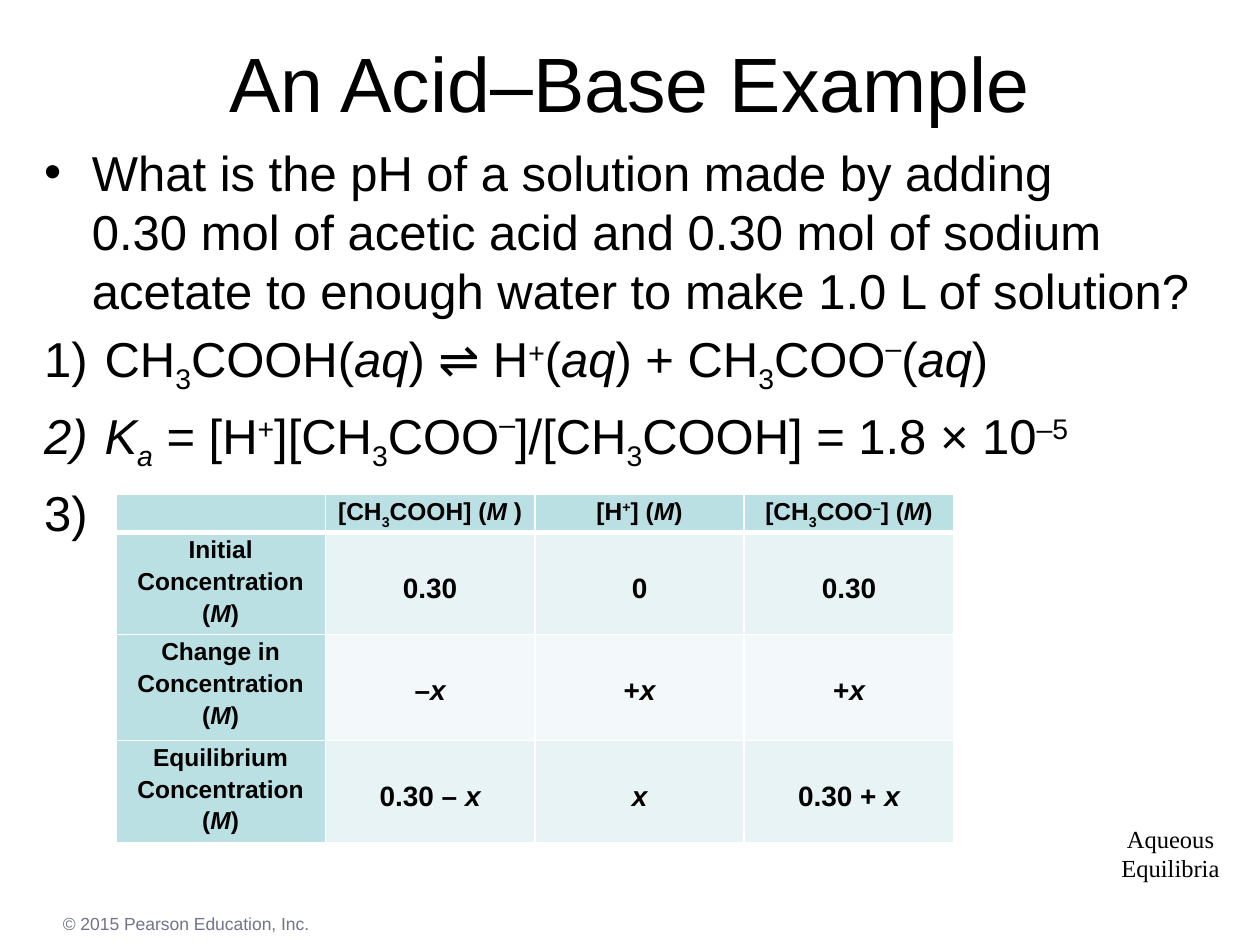
from lxml import etree
from pptx import Presentation, util as u
from pptx.dml.color import RGBColor
from pptx.enum import text
from pptx.oxml import ns

SLIDE_WIDTH, SLIDE_HEIGHT = u.Inches(10), u.Inches(7.5)
BLACK, GREY, WHITE = "000000", "73738C", "FFFFFF"
HEADER_FILL, BAND_FILLS = "BBE0E3", ("E7F3F4", "F3F9FA")
BASELINES = {"_": -25000, "^": 30000, "~": 40000}
ITALIC = "/"

QUESTION = ("What is the pH of a solution made by adding",
            "0.30 mol of acetic acid and 0.30 mol of sodium acetate "
            "to enough water to make 1.0 L of solution?")
STEPS = (
    "CH|_3|COOH(|/aq|) ⇌ H|^+|(|/aq|) + CH|_3|COO|~–|(|/aq|)",
    "/K|/_a| = [H|^+|][CH|_3|COO|~–|]/[CH|_3|COOH] = 1.8 × 10|^–5",
    " ",
)
HEADINGS = ("", "[CH|_3|COOH] (|/M| )", "[H|^+|] (|/M|)", "[CH|_3|COO|^–|] (|/M|)")
STAGES = (
    ("Initial", "0.30", "0", "0.30"),
    ("Change in", "–|/x", "+|/x", "+|/x"),
    ("Equilibrium", "0.30 – |/x", "/x", "0.30 + |/x"),
)
ROW_HEIGHTS = (0.27, 0.81, 0.84, 0.81)


def colour(value):
    return RGBColor.from_string(value)


def area(left, top, width, height):
    return (int(SLIDE_WIDTH * left / 100), int(SLIDE_HEIGHT * top / 100),
            int(SLIDE_WIDTH * width / 100), int(SLIDE_HEIGHT * height / 100))


def move(box, *shares):
    box.left, box.top, box.width, box.height = area(*shares)


def add_spans(para, markup, size, bold=False, face="Arial", ink=BLACK):
    for piece in markup.split("|"):
        italic = piece.startswith(ITALIC)
        piece = piece[1:] if italic else piece
        baseline = BASELINES.get(piece[:1])
        span = para.add_run()
        span.text = piece[1:] if baseline else piece
        span.font.name, span.font.size = face, u.Pt(size)
        span.font.bold, span.font.italic = bold, italic
        span.font.color.rgb = colour(ink)
        if baseline:
            span._r.get_or_add_rPr().set("baseline", str(baseline))


def next_para(frame, index):
    return frame.add_paragraph() if index else frame.paragraphs[0]


def indent(para, inches):
    settings = para._p.get_or_add_pPr()
    settings.set("marL", str(u.Inches(inches)))
    settings.set("indent", str(-u.Inches(inches)))
    return settings


def fill_title(box):
    move(box, 0, 0.27, 100, 16.67)
    box.text_frame.vertical_anchor = text.MSO_ANCHOR.MIDDLE
    para = box.text_frame.paragraphs[0]
    para.alignment = text.PP_ALIGN.CENTER
    add_spans(para, "An Acid–Base Example", 44)


def fill_body(box):
    move(box, 2.5, 14.4, 95, 47.73)
    frame = box.text_frame
    frame.auto_size = text.MSO_AUTO_SIZE.NONE
    question = frame.paragraphs[0]
    question.space_before = u.Pt(0)
    bullet = etree.SubElement(indent(question, 0.38), ns.qn("a:buChar"))
    bullet.set("char", "•")
    add_spans(question, QUESTION[0], 28)
    question.add_line_break()
    add_spans(question, QUESTION[1], 28)
    for step in STEPS:
        para = frame.add_paragraph()
        para.space_before = u.Pt(5.6)
        number = etree.SubElement(indent(para, 0.48), ns.qn("a:buAutoNum"))
        number.set("type", "arabicParenR")
        add_spans(para, step, 28)


def add_label(page, shares, lines, size, face, ink, align, wrap):
    frame = page.shapes.add_textbox(*area(*shares)).text_frame
    frame.word_wrap = wrap
    frame.auto_size = text.MSO_AUTO_SIZE.SHAPE_TO_FIT_TEXT
    for index, line in enumerate(lines):
        para = next_para(frame, index)
        para.alignment = align
        add_spans(para, line, size, face=face, ink=ink)


def add_borders(cell, widths):
    settings = cell._tc.get_or_add_tcPr()
    for side, width in zip("LRTB", widths):
        line = etree.SubElement(settings, ns.qn(f"a:ln{side}"), w=str(u.Pt(width)))
        paint = etree.SubElement(line, ns.qn("a:solidFill"))
        etree.SubElement(paint, ns.qn("a:srgbClr"), val=WHITE)


def fill_cell(cell, lines, size, shade, widths, top=0):
    add_borders(cell, widths)
    cell.fill.solid()
    cell.fill.fore_color.rgb = colour(shade)
    cell.margin_left = cell.margin_right = u.Inches(0.07)
    cell.margin_top, cell.margin_bottom = u.Inches(top), 0
    for index, line in enumerate(lines):
        para = next_para(cell.text_frame, index)
        para.alignment = text.PP_ALIGN.CENTER
        para.line_spacing = 1.15
        if line:
            add_spans(para, line, size, bold=True)
        else:
            para._p.get_or_add_endParaRPr().set("sz", str(size * 100))


def add_concentrations(page):
    shares = (9.2, 52.27, 66.5, 36.27)
    table = page.shapes.add_table(len(STAGES) + 1, len(HEADINGS), *area(*shares)).table
    table.first_row = table.horz_banding = False
    for row, height in zip(table.rows, ROW_HEIGHTS):
        row.height = u.Inches(height)
    for column, heading in enumerate(HEADINGS):
        fill_cell(table.cell(0, column), [heading], 14, HEADER_FILL, (1, 1, 1, 3))
    for row, (stage, *values) in enumerate(STAGES, 1):
        widths = (1, 1, 3 if row == 1 else 1, 1)
        lines = (stage, "Concentration", "(|/M|)")
        fill_cell(table.cell(row, 0), lines, 14, HEADER_FILL, widths)
        shade = BAND_FILLS[(row - 1) % 2]
        for column, value in enumerate(values, 1):
            fill_cell(table.cell(row, column), [value], 16, shade, widths, top=0.29)


def main():
    deck = Presentation()
    deck.slide_width, deck.slide_height = SLIDE_WIDTH, SLIDE_HEIGHT
    page = deck.slides.add_slide(deck.slide_layouts[1])
    add_label(page, (88, 86.53, 9.8, 7.6), ("Aqueous", "Equilibria"), 14,
              "Times New Roman", BLACK, text.PP_ALIGN.CENTER, False)
    add_label(page, (4, 96, 90, 3.6), ("© 2015 Pearson Education, Inc.",), 10,
              "Arial", GREY, text.PP_ALIGN.LEFT, True)
    fill_title(page.shapes.title)
    fill_body(page.placeholders[1])
    add_concentrations(page)
    deck.save("out.pptx")


if __name__ == "__main__":
    main()
